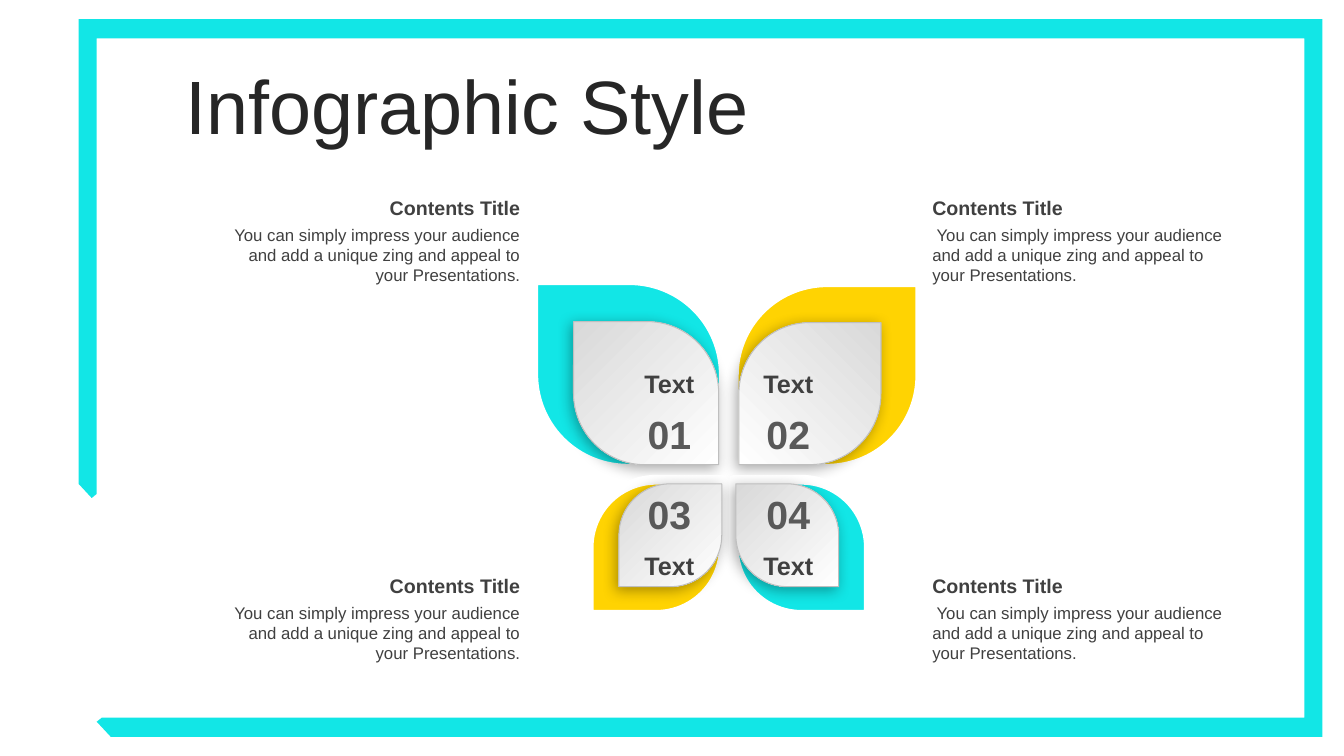
from lxml import etree
from pptx import Presentation
from pptx.dml.color import RGBColor
from pptx.enum.shapes import MSO_SHAPE as SHAPE
from pptx.enum.text import MSO_ANCHOR as ANCHOR, MSO_AUTO_SIZE as AUTO, PP_ALIGN as ALIGN
from pptx.oxml import parse_xml
from pptx.util import Inches, Pt

CYAN = RGBColor(0x12, 0xE6, 0xE6)
YELLOW = RGBColor(0xFF, 0xD3, 0x02)
WHITE = RGBColor(0xFF, 0xFF, 0xFF)
SILVER = RGBColor(0xD9, 0xD9, 0xD9)
EDGE = RGBColor(0xBF, 0xBF, 0xBF)
INK = RGBColor(0x26, 0x26, 0x26)
TEXT = RGBColor(0x40, 0x40, 0x40)
NUMBER = RGBColor(0x59, 0x59, 0x59)

# Content
TITLE = "Infographic Style"
HEADING = "Contents Title"
BODY = (" You can simply impress your audience and add a unique zing "
        "and appeal to your Presentations.")
LABEL = "Text"
# number, side (-1 left, 1 right), row, colour, petal size, card size, gradient angle
PETALS = [
    ("01", -1, 0, CYAN, (1.89, 1.87), (1.44, 1.42), 315),
    ("02", 1, 0, YELLOW, (1.85, 1.85), (1.41, 1.41), 225),
    ("03", -1, 1, YELLOW, (1.34, 1.34), (1.02, 1.02), 315),
    ("04", 1, 1, CYAN, (1.34, 1.34), (1.02, 1.02), 315),
]
FRAME = [(0.78, 0.19), (13.12, 0.19), (13.12, 7.31), (1.1, 7.31), (0.96, 7.16),
         (1.01, 7.12), (12.94, 7.12), (12.94, 0.38), (0.96, 0.38), (0.96, 4.9),
         (0.91, 4.94), (0.78, 4.8)]

# Grid, in inches
AXIS = 7.23                          # vertical line the petals mirror about
PETAL_GAP, CARD_GAP = 0.05, (0.1, 0.07)    # distance from the axis, card gap per row
PETAL_EDGE, CARD_EDGE = (4.65, 4.76), (4.61, 4.8)   # inner edge per row
LABEL_SHIFT = 0.59                   # label centres from the axis
NUMBER_TOP, LABEL_TOP = (4.02, 4.82), (3.61, 5.41)
COPY_LEFT, COPY_TOP, COPY_W = {-1: 2.14, 1: 9.15}, (1.89, 5.64), 3.12

SHADOW = ('<a:effectLst xmlns:a="http://schemas.openxmlformats.org/drawingml/2006/main">'
          '<a:outerShdw blurRad="127000" dist="38100" dir="8100000" algn="tr" rotWithShape="0">'
          '<a:srgbClr val="000000"><a:alpha val="33000"/></a:srgbClr>'
          '</a:outerShdw></a:effectLst>')

prs = Presentation()
prs.slide_width, prs.slide_height = Inches(13.333), Inches(7.5)
s = prs.slides.add_slide(prs.slide_layouts[5])


def write(tf, text, size, color, bold=False, align=ALIGN.LEFT):
    tf.word_wrap = True
    p = tf.paragraphs[0]
    p.alignment = align
    r = p.add_run()
    r.text = text
    r.font.name, r.font.size, r.font.bold = "Arial", Pt(size), bold
    r.font.color.rgb = color
    return p


def add_text(text, x, y, w, h, **fmt):
    tb = s.shapes.add_textbox(Inches(x), Inches(y), Inches(w), Inches(h))
    write(tb.text_frame, text, **fmt)


def add_leaf(side, row, gap, edge, size, line, width):
    w, h = size
    x = AXIS + gap if side > 0 else AXIS - gap - w
    y = edge if row else edge - h
    sp = s.shapes.add_shape(SHAPE.ROUND_2_DIAG_RECTANGLE,
                            Inches(x), Inches(y), Inches(w), Inches(h))
    # The leaf's two sharp corners lie on the diagonal through the centre
    falling = (side < 0) == (row == 0)
    sp.adjustments[0], sp.adjustments[1] = (0, 0.5) if falling else (0.5, 0)
    sp.line.color.rgb, sp.line.width = line, Pt(width)
    sp.shadow.inherit = False
    return sp


# Frame, behind everything
points = [(Inches(x), Inches(y)) for x, y in FRAME]
outline = s.shapes.build_freeform(*points[0])
outline.add_line_segments(points[1:], close=True)
sp = outline.convert_to_shape()
sp.fill.solid()
sp.fill.fore_color.rgb = CYAN
sp.line.fill.background()
sp.shadow.inherit = False
s.shapes._spTree.insert(2, sp._element)

# Title
title = s.shapes.title
title.left, title.top = Inches(1.74), Inches(0.7)
title.width, title.height = Inches(11.18), Inches(0.79)
title.text_frame.auto_size = AUTO.NONE
title.text_frame.vertical_anchor = ANCHOR.MIDDLE
write(title.text_frame, TITLE, 54, INK).line_spacing = 0.9

# Petals with their cards
for number, side, row, color, petal_size, card_size, angle in PETALS:
    petal = add_leaf(side, row, PETAL_GAP, PETAL_EDGE[row], petal_size, WHITE, 7)
    petal.fill.solid()
    petal.fill.fore_color.rgb = color

    card = add_leaf(side, row, CARD_GAP[row], CARD_EDGE[row], card_size, EDGE, 0.75)
    card.fill.gradient()
    card.fill.gradient_angle = angle
    for stop, shade in zip(card.fill.gradient_stops, (SILVER, WHITE)):
        stop.color.rgb = shade
    effects = card._element.spPr.find("{*}effectLst")
    effects.getparent().replace(effects, parse_xml(SHADOW))

# Numbers, labels and copy
for number, side, row, *_ in PETALS:
    center = AXIS + side * LABEL_SHIFT
    add_text(number, center - 0.35, NUMBER_TOP[row], 0.7, 0.57,
             size=28, color=NUMBER, bold=True, align=ALIGN.CENTER)
    add_text(LABEL, center - 0.5, LABEL_TOP[row], 1, 0.4,
             size=18, color=TEXT, bold=True, align=ALIGN.CENTER)
    align = ALIGN.RIGHT if side < 0 else ALIGN.LEFT
    x, y = COPY_LEFT[side], COPY_TOP[row]
    add_text(HEADING, x, y, COPY_W, 0.34, size=14, color=TEXT, bold=True, align=align)
    add_text(BODY, x, y + 0.29, COPY_W, 0.71, size=12, color=TEXT, align=align)

prs.save("out.pptx")
